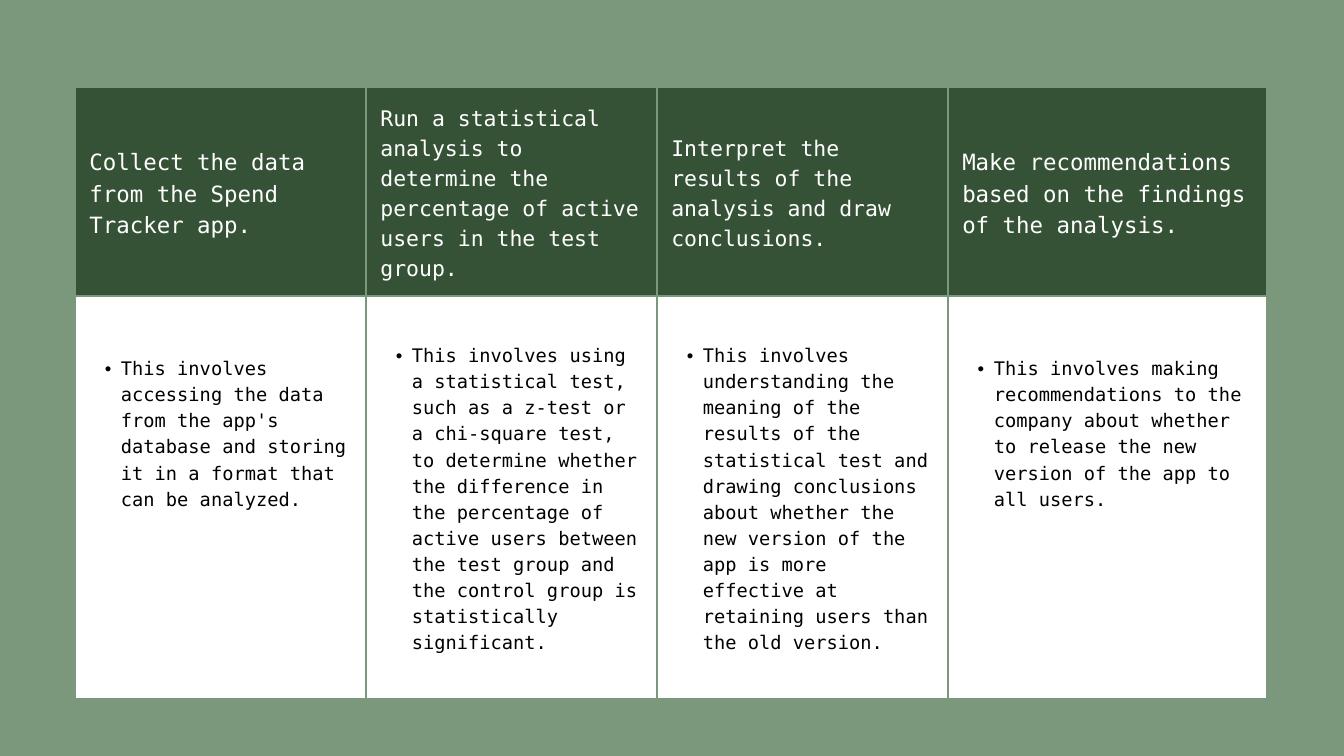
import pptx
import pptx.dml.color
import pptx.enum.text
import pptx.oxml
import pptx.oxml.ns
import pptx.util

STEPS = [  # heading, heading size, detail, lines left free below the detail
    ("Collect the data from the Spend Tracker app.", 24,
     "This involves accessing the data from the app's database and storing it "
     "in a format that can be analyzed.", 5),
    ("Run a statistical analysis to determine the percentage of active users "
     "in the test group.", 23,
     "This involves using a statistical test, such as a z-test or a chi-square "
     "test, to determine whether the difference in the percentage of active "
     "users between the test group and the control group is statistically "
     "significant.", 0),
    ("Interpret the results of the analysis and draw conclusions.", 23,
     "This involves understanding the meaning of the results of the statistical "
     "test and drawing conclusions about whether the new version of the app is "
     "more effective at retaining users than the old version.", 0),
    ("Make recommendations based on the findings of the analysis.", 24,
     "This involves making recommendations to the company about whether to "
     "release the new version of the app to all users.", 5),
]
COLORS = {"sage": "7C987C", "forest": "365236", "white": "FFFFFF", "black": "000000"}
FONT = "DejaVu Sans Mono"
DETAIL_SIZE = 20
LINE_SPACING = 1.4
INSET = 0.21
BORDER = 2.25
LEFT, TOP = 1.12, 1.3
COLUMNS = [4.33, 4.33, 4.33, 4.75]
ROWS = [2.39, 6]

Inches, Pt = pptx.util.Inches, pptx.util.Pt


def rgb(name):
    return pptx.dml.color.RGBColor.from_string(COLORS[name])


def add_borders(cell):
    properties = cell._tc.get_or_add_tcPr()
    for position, side in enumerate("LRTB"):
        properties.insert(position, pptx.oxml.parse_xml(
            f'<a:ln{side} {pptx.oxml.ns.nsdecls("a")} w="{Pt(BORDER)}"><a:solidFill>'
            f'<a:srgbClr val="{COLORS["sage"]}"/></a:solidFill></a:ln{side}>'))


def add_bullet(para):
    properties = para._p.get_or_add_pPr()
    properties.set("marL", str(Inches(0.47)))
    properties.set("indent", str(Inches(-0.24)))
    for xml in ('buFont {} typeface="Arial"', 'buChar {} char="•"'):
        properties.append(pptx.oxml.parse_xml(
            f'<a:{xml.format(pptx.oxml.ns.nsdecls("a"))}/>'))


def fill_cell(cell, text, size, color, fill, free_lines=0):
    """Write and style one cell; free_lines widens its bottom margin."""
    cell.text = text
    cell.fill.solid()
    cell.fill.fore_color.rgb = rgb(fill)
    cell.vertical_anchor = pptx.enum.text.MSO_ANCHOR.MIDDLE
    cell.margin_left = cell.margin_right = cell.margin_top = Inches(INSET)
    cell.margin_bottom = Inches(INSET) + Pt(free_lines * size * LINE_SPACING)
    para = cell.text_frame.paragraphs[0]
    para.line_spacing = Pt(size * LINE_SPACING)
    para.font.name = FONT
    para.font.size = Pt(size)
    para.font.bold = False
    para.font.color.rgb = rgb(color)
    add_borders(cell)
    return para


def main():
    deck = pptx.Presentation()
    deck.slide_width, deck.slide_height = Inches(20), Inches(11.25)
    page = deck.slides.add_slide(deck.slide_layouts[6])
    page.background.fill.solid()
    page.background.fill.fore_color.rgb = rgb("sage")

    table = page.shapes.add_table(
        len(ROWS), len(COLUMNS), Inches(LEFT), Inches(TOP),
        Inches(sum(COLUMNS)), Inches(sum(ROWS))).table
    table.first_row = table.horz_banding = False
    for column, width in zip(table.columns, COLUMNS):
        column.width = Inches(width)
    for row, height in zip(table.rows, ROWS):
        row.height = Inches(height)

    for index, (heading, size, detail, free_lines) in enumerate(STEPS):
        fill_cell(table.cell(0, index), heading, size, "white", "forest")
        para = fill_cell(table.cell(1, index), detail, DETAIL_SIZE,
                         "black", "white", free_lines)
        para.level = 1
        add_bullet(para)

    deck.save("out.pptx")


if __name__ == "__main__":
    main()
